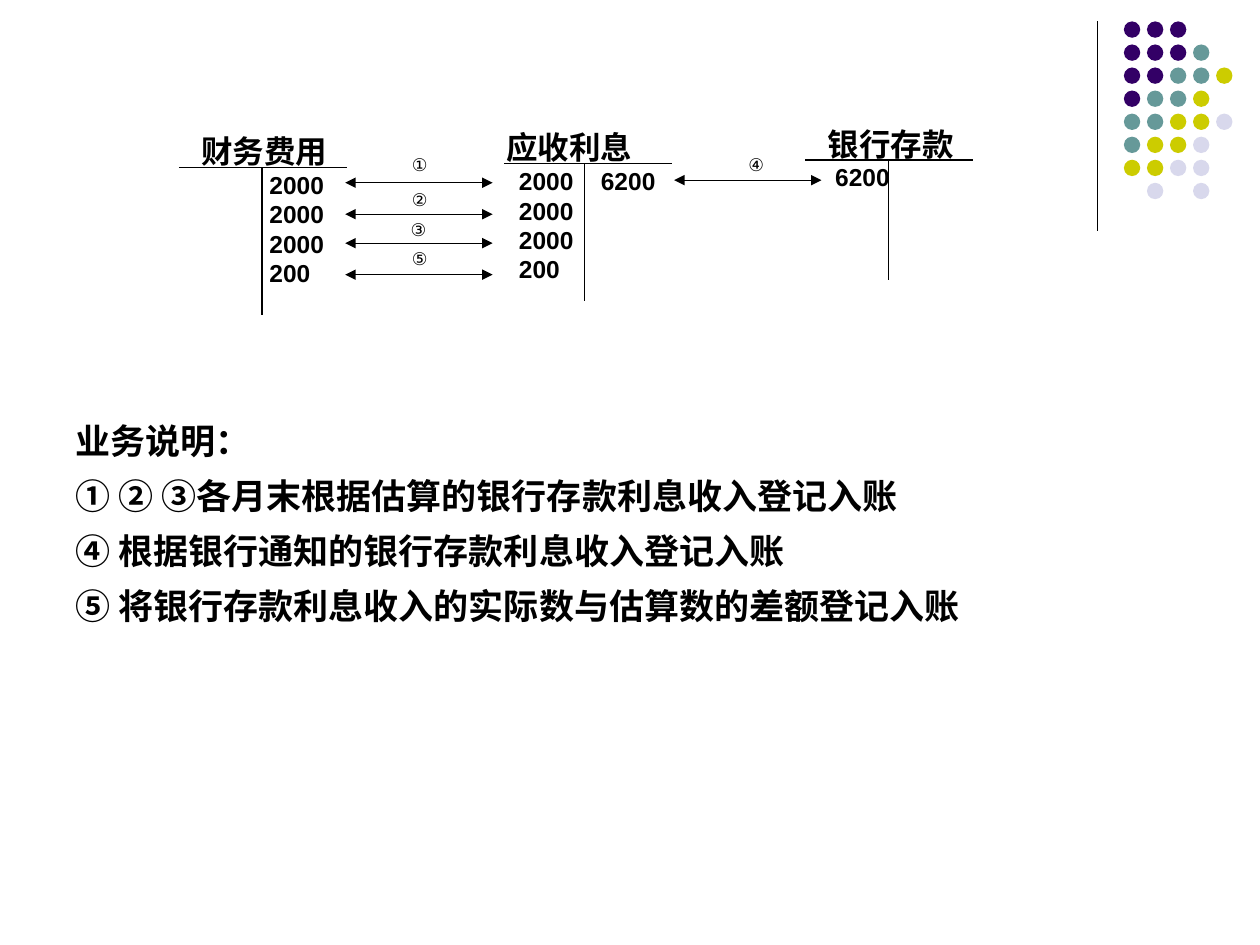
from dataclasses import dataclass

from lxml.etree import SubElement
from pptx import Presentation
from pptx.dml.color import RGBColor
from pptx.enum.shapes import MSO_CONNECTOR as CONN, MSO_SHAPE as SHAPE
from pptx.oxml.ns import qn
from pptx.util import Inches, Pt

BLACK = "000000"
DOT_COLORS = {"P": "330066", "T": "669999", "Y": "CCCC00", "L": "D8D8EC"}
DOT_ROWS = ["PPP", "PPPT", "PPTTY", "PTTY", "TTYYL", "TYYL", "YYLL", " L L"]
DOT_SIZE, DOT_STEP = 0.13, 0.183


@dataclass
class Account:
    name: str
    left: float
    top: float
    height: float
    bar_left: float
    bar_y: float
    stem_x: float
    stem_bottom: float
    entries: list[str]
    tabs: list[float]


@dataclass
class Transfer:
    label: str
    left: float
    y: float
    label_left: float
    label_top: float


ACCOUNTS = [
    Account("财务费用", 1.5, 1, 1.34, 1.42, 1.33, 2.08, 2.5,
            ["\t2000", "\t2000", "\t2000", "\t200"], [0.54]),
    Account("应收利息", 3.92, 0.97, 1.57, 4, 1.3, 4.64, 2.39,
            ["\t2000\t6200", "\t2000", "\t2000", "\t200"], [0.1, 0.75]),
    Account("银行存款", 6.47, 0.94, 0.64, 6.39, 1.27, 7.05, 2.22,
            ["\t6200"], [0.06]),
]
TRANSFERS = [
    Transfer("①", 2.74, 1.45, 3.17, 1.17),
    Transfer("②", 2.74, 1.7, 3.17, 1.45),
    Transfer("③", 2.74, 1.93, 3.16, 1.69),
    Transfer("⑤", 2.74, 2.18, 3.17, 1.92),
    Transfer("④", 5.35, 1.43, 5.84, 1.17),
]
NOTES = [
    "业务说明：",
    "① ② ③各月末根据估算的银行存款利息收入登记入账",
    "④ 根据银行通知的银行存款利息收入登记入账",
    "⑤ 将银行存款利息收入的实际数与估算数的差额登记入账",
]


def rgb(color: str) -> RGBColor:
    return RGBColor.from_string(color)


def add_line(s, x1: float, y1: float, x2: float, y2: float, arrows: bool = False) -> None:
    sp = s.shapes.add_connector(CONN.STRAIGHT, Inches(x1), Inches(y1), Inches(x2), Inches(y2))
    sp.line.color.rgb = rgb(BLACK)
    sp.line.width = Pt(0.75)
    if arrows:
        ln = sp.line._get_or_add_ln()
        for end in ("a:headEnd", "a:tailEnd"):
            SubElement(ln, qn(end), type="triangle")
    SubElement(sp._element.spPr, qn("a:effectLst"))


def add_text(s, left: float, top: float, width: float, height: float,
             lines: list[str], sizes: list[int], bold: bool = True) -> list:
    tf = s.shapes.add_textbox(Inches(left), Inches(top), Inches(width), Inches(height)).text_frame
    tf.word_wrap = True
    tf.text = "\n".join(lines)
    for p, size in zip(tf.paragraphs, sizes):
        for r in p.runs:
            r.font.size = Pt(size)
            r.font.name = "Arial"
            r.font.bold = bold
            r.font.color.rgb = rgb(BLACK)
    return list(tf.paragraphs)


def add_dots(s) -> None:
    for row, codes in enumerate(DOT_ROWS):
        for col, code in enumerate(codes):
            if code == " ":
                continue
            sp = s.shapes.add_shape(
                SHAPE.OVAL, Inches(8.92 + col * DOT_STEP), Inches(0.17 + row * DOT_STEP),
                Inches(DOT_SIZE), Inches(DOT_SIZE))
            sp.shadow.inherit = False
            sp.fill.solid()
            sp.fill.fore_color.rgb = rgb(DOT_COLORS[code])
            sp.line.fill.background()


def add_account(s, a: Account) -> None:
    sizes = [18] + [14] * len(a.entries)
    title, *entries = add_text(s, a.left, a.top, 1.92, a.height, [a.name, *a.entries], sizes)
    for p in entries:
        tabs = SubElement(p._p.get_or_add_pPr(), qn("a:tabLst"))
        for pos in a.tabs:
            SubElement(tabs, qn("a:tab"), pos=str(Inches(pos)), algn="l")
    add_line(s, a.bar_left, a.bar_y, a.bar_left + 1.33, a.bar_y)
    add_line(s, a.stem_x, a.bar_y, a.stem_x, a.stem_bottom)


def add_transfer(s, t: Transfer) -> None:
    add_line(s, t.left, t.y, t.left + 1.17, t.y, arrows=True)
    add_text(s, t.label_left, t.label_top, 0.32, 0.27, [t.label], [10], bold=False)


def add_notes(s) -> None:
    for p in add_text(s, 0.5, 3.25, 9, 2.42, NOTES, [20] * len(NOTES)):
        p.line_spacing = 1.1
        p.space_before = Pt(5)
        pPr = p._p.get_or_add_pPr()
        pPr.set("marL", str(Inches(0.38)))
        pPr.set("indent", str(Inches(-0.38)))


def main() -> None:
    prs = Presentation()
    prs.slide_width, prs.slide_height = Inches(10), Inches(7.5)
    s = prs.slides.add_slide(prs.slide_layouts[6])
    add_line(s, 8.71, 0.17, 8.71, 1.83)
    add_dots(s)
    add_notes(s)
    for account in ACCOUNTS:
        add_account(s, account)
    for transfer in TRANSFERS:
        add_transfer(s, transfer)
    prs.save("out.pptx")


if __name__ == "__main__":
    main()
